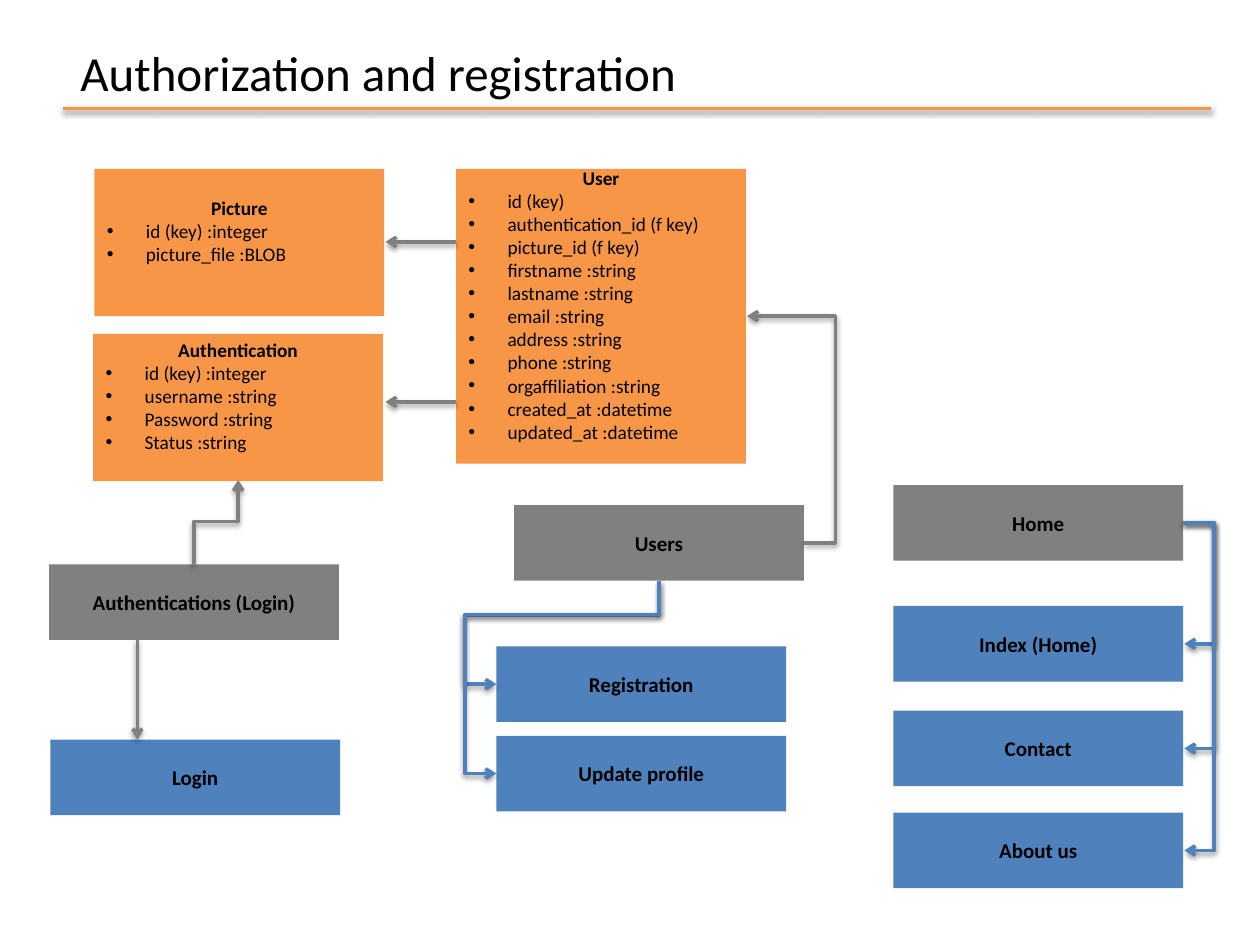
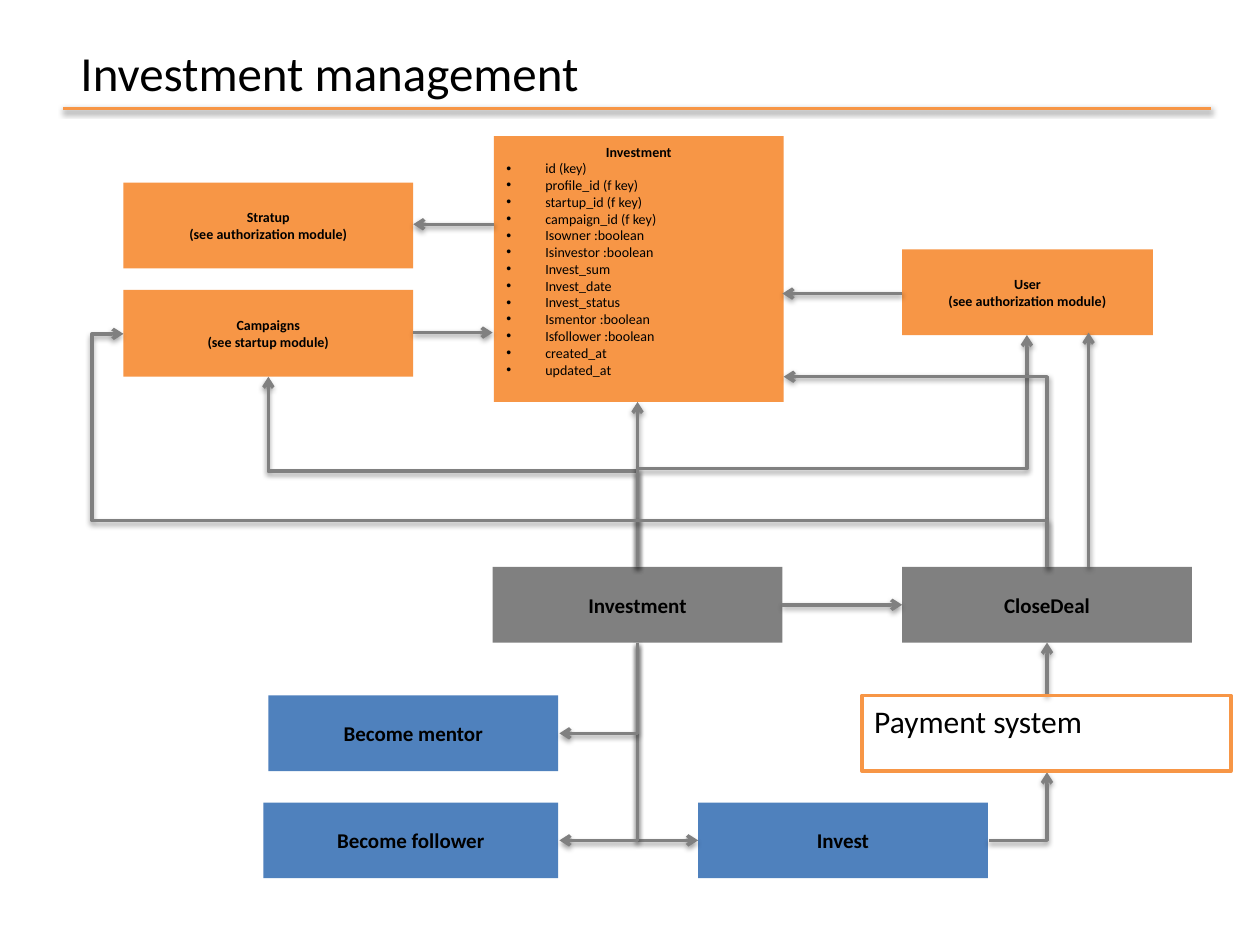
"""Builds two slides that map data tables, controllers and pages of a web application."""
from dataclasses import dataclass

from lxml import etree
from pptx import Presentation
from pptx.dml.color import RGBColor
from pptx.enum.shapes import MSO_CONNECTOR, MSO_SHAPE
from pptx.enum.text import MSO_ANCHOR, MSO_AUTO_SIZE, PP_ALIGN
from pptx.oxml.ns import qn
from pptx.slide import Slide
from pptx.text.text import _Paragraph
from pptx.util import Inches, Pt

RECT = MSO_SHAPE.RECTANGLE
STRAIGHT, ELBOW = MSO_CONNECTOR.STRAIGHT, MSO_CONNECTOR.ELBOW
TOP, MIDDLE = MSO_ANCHOR.TOP, MSO_ANCHOR.MIDDLE
LEFT, CENTER = PP_ALIGN.LEFT, PP_ALIGN.CENTER
FIT = MSO_AUTO_SIZE.SHAPE_TO_FIT_TEXT

ORANGE = RGBColor(0xF7, 0x96, 0x46)
BLUE = RGBColor(0x4F, 0x81, 0xBD)
GREY = RGBColor(0x80, 0x80, 0x80)
BLACK = RGBColor(0, 0, 0)

FONT = "Calibri"
WIDTH, HEIGHT = Inches(10), Inches(7.5)
COLS, ROWS = 100, 75
STROKE = Pt(2)
INDENT = Inches(0.31)
PAD = Inches(0.05)
LEADING = 1.22

Point = tuple[float, float]


@dataclass(frozen=True)
class Box:
    """A labelled box; places and sizes are in grid columns and rows."""
    x: float
    y: float
    heads: tuple[str, ...]
    fill: RGBColor
    w: float = 23
    h: float = 6
    size: int = 12
    items: tuple[str, ...] = ()


@dataclass(frozen=True)
class Wire:
    """An arrow through right-angled grid points."""
    points: tuple[Point, ...]
    color: RGBColor = GREY
    tip: bool = True


def col(n: float) -> int:
    """Turn grid columns into a length."""
    return round(WIDTH * n / COLS)


def row(n: float) -> int:
    """Turn grid rows into a length."""
    return round(HEIGHT * n / ROWS)


def write(para: _Paragraph, text: str, size: int, bold: bool = False) -> None:
    """Add one black run."""
    run = para.add_run()
    run.text = text
    run.font.name, run.font.size, run.font.bold = FONT, Pt(size), bold
    run.font.color.rgb = BLACK


def bullet(para: _Paragraph) -> None:
    """Give a paragraph a hanging round bullet."""
    props = para._p.get_or_add_pPr()
    props.set("marL", str(INDENT))
    props.set("indent", str(-INDENT))
    etree.SubElement(props, qn("a:buFont"), typeface="Arial")
    etree.SubElement(props, qn("a:buChar"), char="•")


def draw_box(slide: Slide, box: Box) -> None:
    """Draw a filled box with bold heads and bulleted items."""
    shape = slide.shapes.add_shape(RECT, col(box.x), row(box.y), col(box.w), row(box.h))
    shape.shadow.inherit = False
    shape.fill.solid()
    shape.fill.fore_color.rgb = box.fill
    shape.line.fill.background()
    frame = shape.text_frame
    frame.word_wrap, frame.vertical_anchor = True, MIDDLE
    if box.items:
        frame.margin_bottom = PAD + Pt(box.size * LEADING)
    for i, text in enumerate(box.heads + box.items):
        para = frame.paragraphs[0] if i == 0 else frame.add_paragraph()
        head = i < len(box.heads)
        para.alignment = CENTER if head else LEFT
        if not head:
            bullet(para)
        write(para, text, box.size, head)


def draw_frame(slide: Slide, x: float, y: float, w: float, h: float, text: str) -> None:
    """Draw an outlined box with text at its top left."""
    shape = slide.shapes.add_shape(RECT, col(x), row(y), col(w), row(h))
    shape.shadow.inherit = False
    shape.fill.background()
    shape.line.color.rgb, shape.line.width = ORANGE, STROKE
    frame = shape.text_frame
    frame.word_wrap, frame.vertical_anchor = True, TOP
    frame.paragraphs[0].alignment = LEFT
    write(frame.paragraphs[0], text, 18)


def draw_wire(slide: Slide, wire: Wire) -> None:
    """Draw a straight or bent connector with a soft shadow."""
    pts = wire.points
    start, end = pts[0], pts[-1]
    delta = (end[0] - start[0], end[1] - start[1])
    bent = len(pts) > 2
    axis = 1 if bent and pts[1][0] == start[0] else 0
    (u, v), turn = delta, 0
    if axis:
        u, v, turn = delta[1], -delta[0], 90
        if u * v < 0:
            u, v, turn = -u, -v, 270
    midx, midy = (start[0] + end[0]) / 2, (start[1] + end[1]) / 2
    line = slide.shapes.add_connector(
        ELBOW if bent else STRAIGHT,
        col(midx - u / 2), row(midy - v / 2), col(midx + u / 2), row(midy + v / 2))
    line.line.color.rgb, line.line.width = wire.color, STROKE
    props = line._element.spPr
    if turn:
        props.find(qn("a:xfrm")).set("rot", str(turn * 60000))
    if bent:
        geom = props.find(qn("a:prstGeom"))
        geom.set("prst", f"bentConnector{len(pts) - 1}")
        guides = geom.find(qn("a:avLst"))
        for i in range(len(pts) - 3):
            side = (axis + i) % 2
            share = (pts[i + 1][side] - start[side]) / delta[side]
            etree.SubElement(guides, qn("a:gd"), name=f"adj{i + 1}",
                             fmla=f"val {round(share * 100000)}")
    if wire.tip:
        etree.SubElement(line.line._get_or_add_ln(), qn("a:tailEnd"), type="arrow")
    effects = etree.SubElement(props, qn("a:effectLst"))
    shade = etree.SubElement(effects, qn("a:outerShdw"), blurRad=str(Pt(3.1)),
                             dist=str(Pt(1.6)), dir="5400000", rotWithShape="0")
    tone = etree.SubElement(shade, qn("a:srgbClr"), val=str(BLACK))
    etree.SubElement(tone, qn("a:alpha"), val="38000")


def add_page(deck: Presentation, title: str, width: float,
             boxes: list[Box], wires: list[Wire]) -> Slide:
    """Add a slide with a ruled title, boxes and wires."""
    slide = deck.slides.add_slide(deck.slide_layouts[6])
    text = slide.shapes.add_textbox(col(5.4), row(2.9), col(width), row(5.7))
    text.text_frame.word_wrap, text.text_frame.auto_size = False, FIT
    write(text.text_frame.paragraphs[0], title, 28)
    for box in boxes:
        draw_box(slide, box)
    rule = Wire(((5, 8.6), (96.1, 8.6)), ORANGE, False)
    for wire in [rule, *wires]:
        draw_wire(slide, wire)
    return slide


def add_access(deck: Presentation) -> None:
    """Add the slide on authorization."""
    pages = {48.1: "Index (Home)", 56.4: "Contact", 64.5: "About us"}
    forms = {51.3: "Registration", 58.4: "Update profile"}
    boxes = [
        Box(36.2, 13.4, ("User",), ORANGE, h=23.4, size=11, items=(
            "id (key)", "authentication_id (f key)", "picture_id (f key)",
            "firstname :string", "lastname :string", "email :string",
            "address :string", "phone :string", "orgaffiliation :string",
            "created_at :datetime", "updated_at :datetime")),
        Box(7.5, 13.4, ("Picture",), ORANGE, h=11.7, size=11,
            items=("id (key) :integer", "picture_file :BLOB")),
        Box(7.4, 26.5, ("Authentication",), ORANGE, h=11.7, size=11, items=(
            "id (key) :integer", "username :string", "Password :string",
            "Status :string")),
        Box(3.9, 44.8, ("Authentications (Login)",), GREY),
        Box(40.8, 40.1, ("Users",), GREY),
        Box(70.9, 38.5, ("Home",), GREY),
        Box(4, 58.7, ("Login",), BLUE),
        *(Box(39.4, y, (name,), BLUE) for y, name in forms.items()),
        *(Box(70.9, y, (name,), BLUE) for y, name in pages.items()),
    ]
    wires = [
        Wire(((15.4, 44.8), (15.4, 41.4), (18.9, 41.4), (18.9, 38.1))),
        Wire(((10.9, 50.8), (10.9, 58.7))),
        *(Wire(((36.2, y), (30.6, y))) for y in (19.2, 31.9)),
        Wire(((63.8, 43.1), (66.3, 43.1), (66.3, 25.1), (59.3, 25.1))),
        *(Wire(((52.3, 46.1), (52.3, 48.8), (36.9, 48.8), (36.9, y + 3),
                (39.4, y + 3)), BLUE) for y in forms),
        *(Wire(((93.9, 41.5), (96.4, 41.5), (96.4, y + 3), (94, y + 3)), BLUE)
          for y in pages),
    ]
    add_page(deck, "Authorization and registration", 50.1, boxes, wires)


def add_funds(deck: Presentation) -> None:
    """Add the slide on investment."""
    access = "(see authorization module)"
    boxes = [
        Box(39.2, 10.8, ("Investment",), ORANGE, h=21.1, size=8, items=(
            "id (key)", "profile_id (f key)", "startup_id (f key)",
            "campaign_id (f key)", "Isowner :boolean", "Isinvestor :boolean",
            "Invest_sum", "Invest_date", "Invest_status", "Ismentor :boolean",
            "Isfollower :boolean", "created_at", "updated_at")),
        Box(9.8, 14.5, ("Stratup", access), ORANGE, h=6.8, size=8),
        Box(9.8, 23, ("Campaigns", "(see startup module)"), ORANGE, h=6.9, size=8),
        Box(71.6, 19.8, ("User", access), ORANGE, w=19.9, h=6.8, size=8),
        Box(39.1, 45, ("Investment",), GREY),
        Box(71.6, 45, ("CloseDeal",), GREY),
        Box(21.3, 55.2, ("Become mentor",), BLUE),
        Box(20.9, 63.7, ("Become follower",), BLUE, w=23.4),
        Box(55.4, 63.7, ("Invest",), BLUE),
    ]
    hub, deal = 50.6, 83.1
    wires = [
        Wire(((hub, 45), (hub, 37.4), (21.3, 37.4), (21.3, 29.9))),
        Wire(((hub, 45), (hub, 31.9))),
        Wire(((hub, 45), (hub, 37.2), (81.5, 37.2), (81.5, 26.6))),
        *(Wire(((hub, 51), (hub, y), (x, y)))
          for x, y in ((55.4, 66.7), (44.4, 66.7), (44.4, 58.2))),
        Wire(((39.2, 17.8), (32.8, 17.8))),
        Wire(((32.8, 26.4), (39.1, 26.4))),
        Wire(((71.6, 23.3), (62.1, 23.3))),
        Wire(((62.1, 48), (71.6, 48))),
        Wire(((78.5, 66.7), (deal, 66.7), (deal, 61.3))),
        Wire(((deal, 55.2), (deal, 51))),
        Wire(((deal, 45), (deal, 29.9), (62.2, 29.9))),
        Wire(((86.4, 45), (86.4, 26.4))),
        Wire(((deal, 45), (deal, 41.3), (7.3, 41.3), (7.3, 26.5), (9.8, 26.5))),
    ]
    slide = add_page(deck, "Investment management", 42.2, boxes, wires)
    draw_frame(slide, 68.4, 55.2, 29.3, 6, "Payment system")


def main() -> None:
    """Build and save the deck."""
    deck = Presentation()
    deck.slide_width, deck.slide_height = WIDTH, HEIGHT
    add_access(deck)
    add_funds(deck)
    deck.save("out.pptx")


main()
